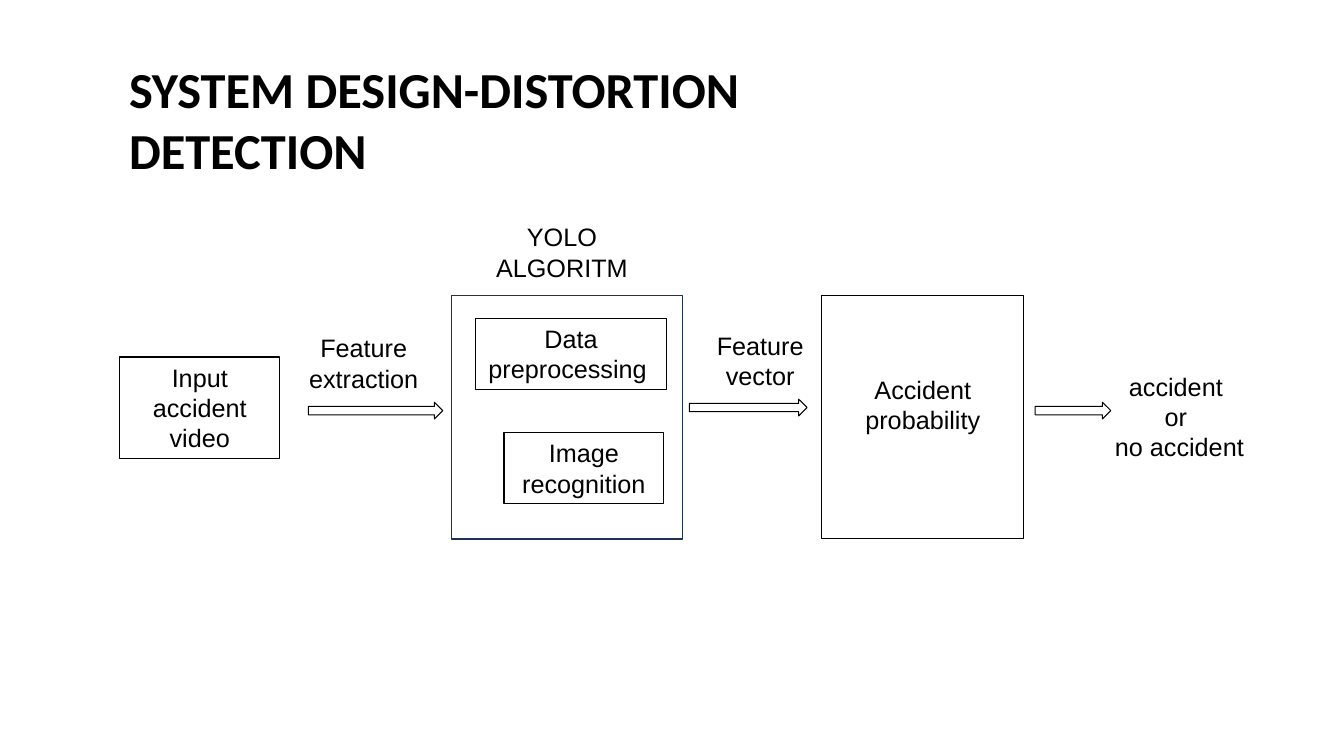
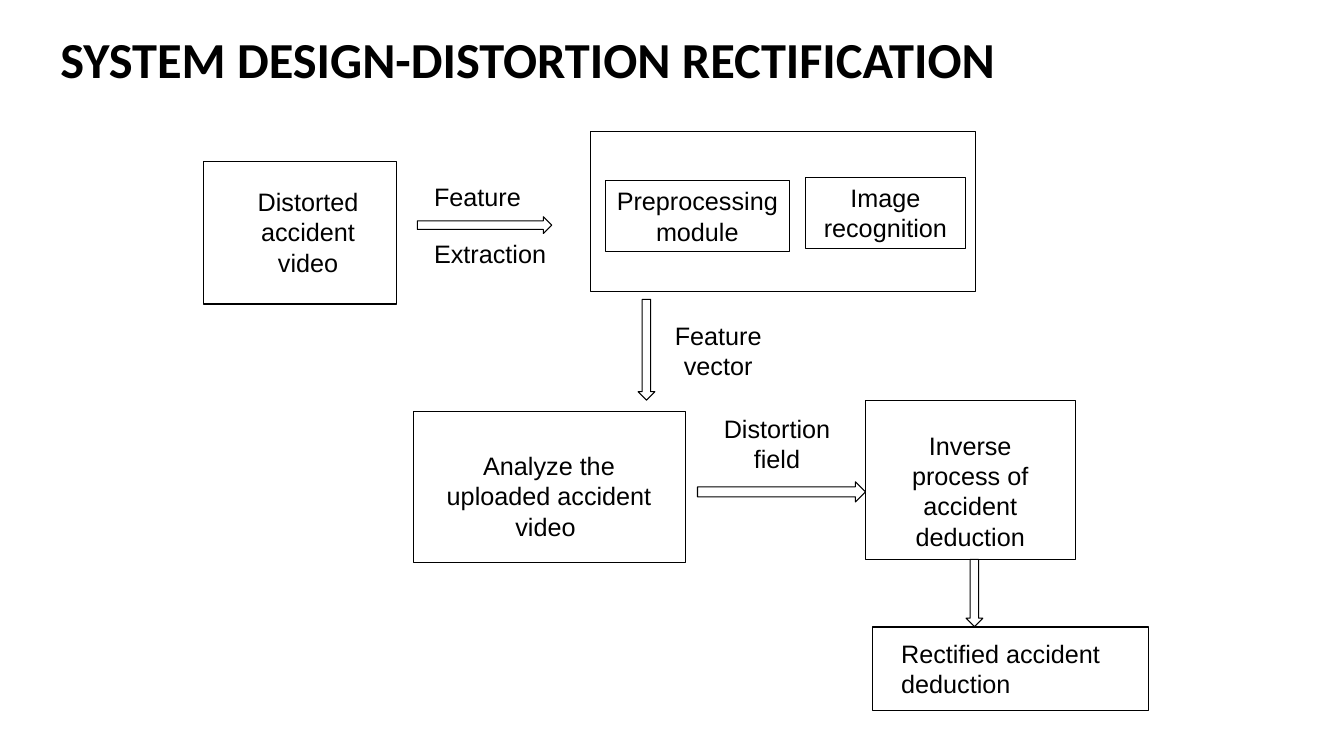
from dataclasses import dataclass

from pptx import Presentation
from pptx.dml.color import RGBColor as Rgb
from pptx.enum.shapes import MSO_SHAPE as Kind
from pptx.enum.text import MSO_ANCHOR as Anchor, MSO_AUTO_SIZE as Fit, PP_ALIGN as Align
from pptx.util import Inches, Pt


@dataclass(frozen=True)
class Theme:
    ink: Rgb = Rgb(0, 0, 0)
    paper: Rgb = Rgb(255, 255, 255)
    navy: Rgb = Rgb(0x1E, 0x32, 0x56)
    head: str = "Calibri"
    body: str = "Arial"
    large: Pt = Pt(36)
    small: Pt = Pt(18)
    thin: Pt = Pt(0.75)
    thick: Pt = Pt(1)


THEME = Theme()
WIDE, HIGH = Inches(13.33), Inches(7.5)
COLS, ROWS = 160, 90
LINE, PAD = 3.64, 1.2


def place(left, top, width, height):
    return (round(left * WIDE / COLS), round(top * HIGH / ROWS),
            round(width * WIDE / COLS), round(height * HIGH / ROWS))


def add_page(deck, text, *at, space=1.0):
    slide = deck.slides.add_slide(deck.slide_layouts[5])
    title = slide.shapes.title
    title.left, title.top, title.width, title.height = place(*at)
    frame = title.text_frame
    frame.text = text
    frame.word_wrap = True
    frame.auto_size = Fit.NONE
    frame.vertical_anchor = Anchor.TOP
    para = frame.paragraphs[0]
    para.alignment = Align.LEFT
    para.line_spacing = space
    para.font.name, para.font.size = THEME.head, THEME.large
    para.font.bold = True
    para.font.color.rgb = THEME.ink
    return slide


def add_form(slide, kind, at, line=THEME.ink, width=THEME.thin):
    form = slide.shapes.add_shape(kind, *place(*at))
    form.shadow.inherit = False
    form.fill.solid()
    form.fill.fore_color.rgb = THEME.paper
    if line is None:
        form.line.fill.background()
    else:
        form.line.color.rgb = line
        form.line.width = width
    return form


def add_frame(slide, *at, **look):
    add_form(slide, Kind.RECTANGLE, at, **look)


def add_text(slide, text, left, top, width, lines, line=None, align=Align.CENTER):
    at = left, top, width, lines * LINE + PAD
    frame = add_form(slide, Kind.RECTANGLE, at, line).text_frame
    frame.text = text
    frame.word_wrap = True
    frame.vertical_anchor = Anchor.TOP
    for para in frame.paragraphs:
        para.alignment = align
        para.font.name, para.font.size = THEME.body, THEME.small
        para.font.color.rgb = THEME.ink


def add_box(slide, text, *at):
    add_text(slide, text, *at, line=THEME.ink)


def add_right(slide, left, top, length, thick=2):
    add_form(slide, Kind.RIGHT_ARROW, (left, top, length, thick))


def add_down(slide, left, top, length, thick=2):
    add_form(slide, Kind.DOWN_ARROW, (left, top, thick, length))


def draw_detection(deck):
    slide = add_page(deck, "SYSTEM DESIGN-DISTORTION DETECTION", 14.16, 6.36, 103.9, 8.5)
    add_frame(slide, 53.76, 35.16, 27.5, 29, line=THEME.navy, width=THEME.thick)
    add_frame(slide, 97.8, 35.16, 24, 29)
    for step in (
        ("Input accident video", 14.28, 42.5, 19, 3),
        ("Data preprocessing ", 56.64, 37.92, 22.7, 2),
        ("Image recognition", 60, 51.5, 19, 2),
    ):
        add_box(slide, *step)
    for label in (
        ("Feature extraction", 34.8, 39, 17, 2),
        ("YOLO ALGORITM", 56.4, 25.8, 21, 2),
        ("Feature vector", 84, 38.76, 13, 2),
        ("Accident probability", 99.36, 43.92, 21, 2),
        ("accident \nor \nno accident", 129.84, 43.56, 21.12, 3),
    ):
        add_text(slide, *label)
    for arrow in ((36.72, 47.88, 16), (82.08, 47.52, 14), (123.24, 47.88, 9)):
        add_right(slide, *arrow)


def draw_repair(deck):
    slide = add_page(deck, "SYSTEM DESIGN-DISTORTION RECTIFICATION",
                     6, 3.6, 116.9, 15, space=0.9)
    for stage in (
        (24.24, 19.2, 23, 17),
        (70.3, 15.7, 45.84, 19),
        (49.2, 49, 32.4, 18),
        (103, 47.64, 25, 19),
        (103.92, 74.64, 32.8, 10),
    ):
        add_frame(slide, *stage)
    for step in (
        ("Preprocessing module", 72.1, 21.5, 21.84, 2),
        ("Image recognition", 95.9, 21.12, 19, 2),
    ):
        add_box(slide, *step)
    for label in (
        ("Distorted accident video", 26.9, 21.6, 19.56, 3),
        ("Feature vector", 79, 37.56, 13, 2),
        ("Analyze the uploaded accident video ", 51.36, 53.04, 28, 3),
        ("Distortion field", 84, 48.6, 17, 2),
        ("Inverse process of accident deduction", 104, 50.64, 23, 4),
    ):
        add_text(slide, *label)
    for label in (
        ("Feature", 50.5, 21, 13, 1),
        ("Extraction", 50.5, 27.84, 17, 1),
        ("Rectified accident deduction", 106.1, 75.36, 28.44, 2),
    ):
        add_text(slide, *label, align=Align.LEFT)
    add_right(slide, 49.68, 25.8, 16)
    add_right(slide, 83.04, 57.36, 20, 2.4)
    add_down(slide, 75.96, 35.64, 12)
    add_down(slide, 115, 66.6, 8)


def main():
    deck = Presentation()
    deck.slide_width, deck.slide_height = WIDE, HIGH
    draw_detection(deck)
    draw_repair(deck)
    deck.save("out.pptx")


if __name__ == "__main__":
    main()
